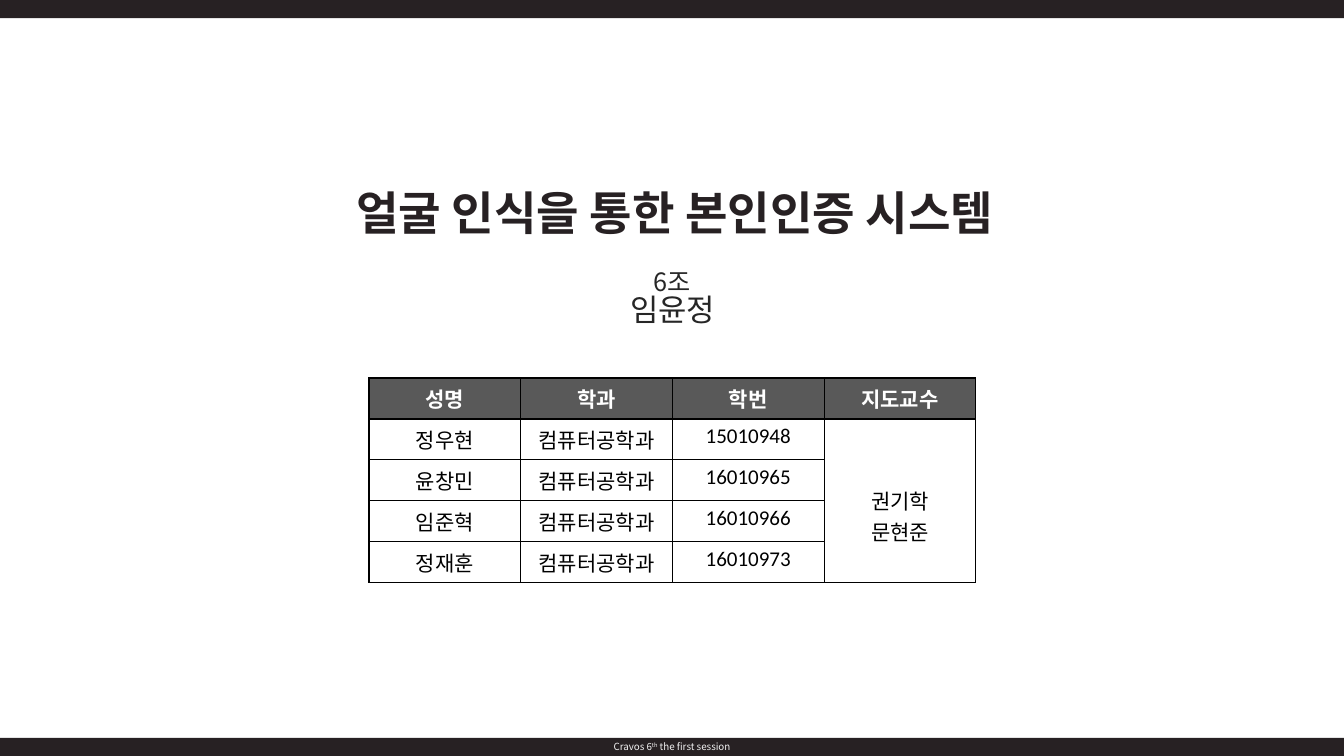
from dataclasses import dataclass

from lxml.etree import SubElement
from pptx import Presentation
from pptx.dml.color import RGBColor
from pptx.enum.shapes import MSO_SHAPE as Preset
from pptx.enum.text import MSO_ANCHOR as Anchor, MSO_AUTO_SIZE as AutoSize, PP_ALIGN as Align
from pptx.oxml.ns import qn
from pptx.util import Inches, Pt

SLIDE_WIDTH, SLIDE_HEIGHT = 13.33, 7.5


@dataclass(frozen=True)
class Theme:
    korean: str = "Noto Sans CJK KR"
    digits: str = "Calibri"
    dark: str = "272123"
    text: str = "262626"
    pale: str = "F2F2F2"
    header: str = "595959"
    white: str = "FFFFFF"
    black: str = "000000"
    title_size: int = 33
    leader_size: int = 22
    team_size: int = 18
    table_size: int = 15
    footer_size: int = 7
    border: int = 1


@dataclass(frozen=True)
class Box:
    left: float
    top: float
    width: float
    height: float

    def lengths(self) -> tuple:
        return tuple(Inches(n) for n in (self.left, self.top, self.width, self.height))


@dataclass(frozen=True)
class Student:
    name: str
    department: str
    number: str


THEME = Theme()
BAR_HEIGHT = 0.18
BARS = [
    Box(0, 0, SLIDE_WIDTH, BAR_HEIGHT),
    Box(0, SLIDE_HEIGHT - BAR_HEIGHT, SLIDE_WIDTH, BAR_HEIGHT),
]
TITLE_BOX = Box(3.12, 1.78, 7.15, 0.64)
TEAM_BOX = Box(5.84, 2.64, 1.66, 0.77)
TABLE_BOX = Box(3.66, 3.75, 6.02, 2.03)

HEADINGS = ["성명", "학과", "학번", "지도교수"]
DEPARTMENT = "컴퓨터공학과"
STUDENTS = [
    Student("정우현", DEPARTMENT, "15010948"),
    Student("윤창민", DEPARTMENT, "16010965"),
    Student("임준혁", DEPARTMENT, "16010966"),
    Student("정재훈", DEPARTMENT, "16010973"),
]
PROFESSORS = "권기학\n문현준"


def style_para(para, size: int, color: str, bold: bool = False, face: str = THEME.korean) -> None:
    """Centre a paragraph and format its runs, East Asian face included."""
    para.alignment = Align.CENTER
    for span in para.runs:
        font = span.font
        font.size, font.bold, font.name = Pt(size), bold, face
        font.color.rgb = RGBColor.from_string(color)
        SubElement(span._r.get_or_add_rPr(), qn("a:ea"), typeface=face)


def add_bar(page, box: Box):
    bar = page.shapes.add_shape(Preset.RECTANGLE, *box.lengths())
    bar.shadow.inherit = False
    bar.fill.solid()
    bar.fill.fore_color.rgb = RGBColor.from_string(THEME.dark)
    bar.line.fill.background()
    return bar


def add_footer(bar) -> None:
    frame = bar.text_frame
    frame.vertical_anchor = Anchor.MIDDLE
    frame.margin_top = frame.margin_bottom = 0
    para = frame.paragraphs[0]
    for words in ("Cravos 6", "th", " the first session"):
        para.add_run().text = words
    style_para(para, THEME.footer_size, THEME.pale)
    para.runs[1].font._element.set("baseline", "30000")


def fill_title(page) -> None:
    title = page.shapes.title
    title.left, title.top, title.width, title.height = TITLE_BOX.lengths()
    frame = title.text_frame
    frame.text = "얼굴 인식을 통한 본인인증 시스템"
    frame.auto_size = AutoSize.NONE
    frame.vertical_anchor = Anchor.MIDDLE
    style_para(frame.paragraphs[0], THEME.title_size, THEME.dark, bold=True)


def add_team(page) -> None:
    frame = page.shapes.add_textbox(*TEAM_BOX.lengths()).text_frame
    frame.word_wrap = True
    frame.text = "6조\n임윤정"
    for para, size in zip(frame.paragraphs, (THEME.team_size, THEME.leader_size)):
        style_para(para, size, THEME.text)
        para.line_spacing = 0.85


def style_cell(cell, fill: str) -> None:
    """Draw the four borders, then the fill that must follow them."""
    properties = cell._tc.get_or_add_tcPr()
    for side in ("a:lnL", "a:lnR", "a:lnT", "a:lnB"):
        line = SubElement(properties, qn(side), w=str(Pt(THEME.border)))
        SubElement(SubElement(line, qn("a:solidFill")), qn("a:srgbClr"), val=THEME.black)
    cell.fill.solid()
    cell.fill.fore_color.rgb = RGBColor.from_string(fill)


def add_members(page) -> None:
    rows = [HEADINGS] + [[s.name, s.department, s.number, ""] for s in STUDENTS]
    rows[1][-1] = PROFESSORS
    table = page.shapes.add_table(len(rows), len(HEADINGS), *TABLE_BOX.lengths()).table
    table.horz_banding = False
    for column in table.columns:
        column.width = Inches(TABLE_BOX.width / len(HEADINGS))
    for row in table.rows:
        row.height = Inches(TABLE_BOX.height / len(rows))

    for r, words in enumerate(rows):
        heading = r == 0
        for c, text in enumerate(words):
            cell = table.cell(r, c)
            style_cell(cell, THEME.header if heading else THEME.white)
            cell.text = text
            face = THEME.digits if text.isdigit() else THEME.korean
            color = THEME.white if heading else THEME.black
            for para in cell.text_frame.paragraphs:
                style_para(para, THEME.table_size, color, heading, face)

    # One professor cell beside all the students
    professors = table.cell(1, len(HEADINGS) - 1)
    professors.merge(table.cell(len(rows) - 1, len(HEADINGS) - 1))
    professors.margin_top = Inches(0.66)


def main() -> None:
    deck = Presentation()
    deck.slide_width, deck.slide_height = Inches(SLIDE_WIDTH), Inches(SLIDE_HEIGHT)
    page = deck.slides.add_slide(deck.slide_layouts.get_by_name("Title Only"))

    # Bars at the top and bottom edges
    top_bar, bottom_bar = [add_bar(page, box) for box in BARS]
    add_footer(bottom_bar)

    # Title, team and members
    fill_title(page)
    add_team(page)
    add_members(page)
    deck.save("out.pptx")


if __name__ == "__main__":
    main()
